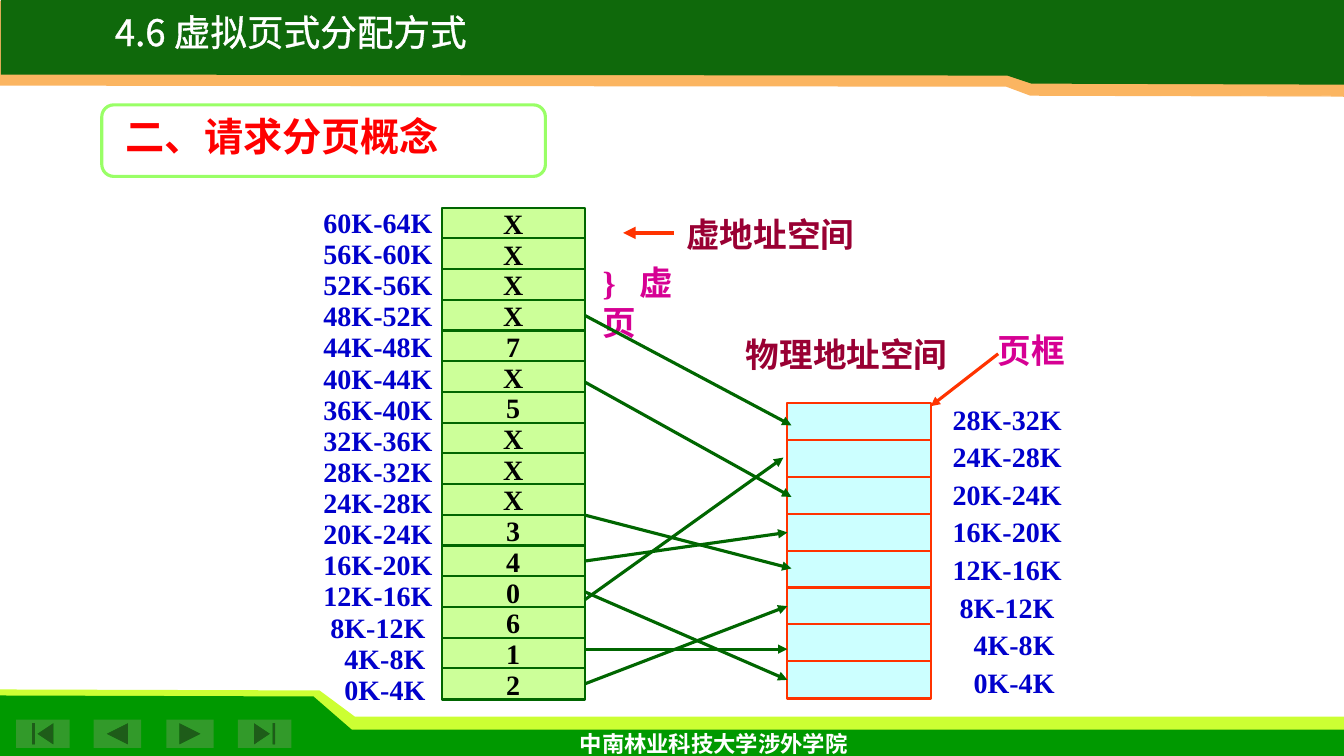
from lxml.etree import SubElement
from pptx import Presentation
from pptx.dml.color import RGBColor
from pptx.enum.shapes import MSO_CONNECTOR, MSO_SHAPE as SHAPE
from pptx.enum.text import MSO_ANCHOR as ANCHOR, PP_ALIGN as ALIGN
from pptx.oxml.ns import qn
from pptx.util import Inches, Pt

WHITE = RGBColor(0xFF, 0xFF, 0xFF)
BLACK = RGBColor(0, 0, 0)
LIME = RGBColor(0xCC, 0xFF, 0x33)
GREEN = RGBColor(0x00, 0x99, 0x00)
BUTTON_GREEN = RGBColor(0x32, 0x9A, 0x2A)
ORANGE = RGBColor(0xFB, 0xB5, 0x61)
HEADER_GREEN = RGBColor(0x0F, 0x69, 0x0B)
PAGE_GREEN = RGBColor(0xCC, 0xFF, 0x99)
DARK_GREEN = RGBColor(0x00, 0x66, 0x00)
FRAME_BLUE = RGBColor(0xCC, 0xFF, 0xFF)
RED_ORANGE = RGBColor(0xFF, 0x33, 0x00)
LABEL_BLUE = RGBColor(0x00, 0x00, 0xCC)
MAROON = RGBColor(0x99, 0x00, 0x33)
MAGENTA = RGBColor(0xD6, 0x00, 0x93)
RED = RGBColor(0xFF, 0, 0)
BORDER_GREEN = RGBColor(0x99, 0xFF, 0x66)

SERIF = "Times New Roman"
CJK = "Noto Sans CJK SC"

PAGES = ["X", "X", "X", "X", "7", "X", "5", "X", "X", "X", "3", "4", "0", "6", "1", "2"]
MAPPINGS = [
    (3.12, 7.85, 4.22), (3.79, 7.85, 4.93), (5.11, 7.85, 5.64), (5.56, 7.81, 5.27),
    (5.87, 7.81, 6.77), (6.44, 7.81, 6.44), (6.78, 7.81, 6.04), (5.95, 7.77, 4.54),
]


def write(shape, text, size=20, color=BLACK, font=SERIF, bold=True, align=ALIGN.LEFT,
          anchor=ANCHOR.TOP, wrap=False, inset=0.1, spacing=None, tab=None, outline=None):
    frame = shape.text_frame
    frame.word_wrap = wrap
    frame.vertical_anchor = anchor
    frame.margin_left = frame.margin_right = Inches(inset)
    paragraph = frame.paragraphs[0]
    paragraph.alignment = align
    if spacing:
        paragraph.line_spacing = spacing
    if tab:
        stops = SubElement(paragraph._p.get_or_add_pPr(), qn("a:tabLst"))
        SubElement(stops, qn("a:tab"), pos=str(Inches(tab)), algn="l")
    run = paragraph.add_run()
    run.text = text
    properties = run._r.get_or_add_rPr()
    if outline:
        stroke = SubElement(properties, qn("a:ln"), w=str(Pt(outline)))
        SubElement(SubElement(stroke, qn("a:solidFill")), qn("a:srgbClr"), val=str(color))
    run.font.size, run.font.bold, run.font.name = Pt(size), bold, font
    run.font.color.rgb = color
    SubElement(properties, qn("a:ea"), typeface=CJK)


def write_box(slide, x, y, w, h, text, **style):
    write(slide.shapes.add_textbox(Inches(x), Inches(y), Inches(w), Inches(h)), text, **style)


def paint(shape, fill, line=None, width=1.5, alpha=None):
    shape.shadow.inherit = False
    shape.fill.solid()
    shape.fill.fore_color.rgb = fill
    if alpha:
        tint = shape._element.spPr.find(qn("a:solidFill"))[0]
        SubElement(tint, qn("a:alpha"), val=str(alpha * 1000))
    if line is None:
        shape.line.fill.background()
    else:
        shape.line.color.rgb = line
        shape.line.width = Pt(width)


def add_block(slide, kind, x, y, w, h, fill, **look):
    block = slide.shapes.add_shape(kind, Inches(x), Inches(y), Inches(w), Inches(h))
    paint(block, fill, **look)
    return block


def add_band(slide, points, fill, **look):
    corners = [(Inches(x), Inches(y)) for x, y in points]
    outline = slide.shapes.build_freeform(*corners[0])
    outline.add_line_segments(corners[1:], close=True)
    paint(outline.convert_to_shape(), fill, **look)


def add_arrow(slide, x1, y1, x2, y2, color, width=2.25):
    arrow = slide.shapes.add_connector(
        MSO_CONNECTOR.STRAIGHT, Inches(x1), Inches(y1), Inches(x2), Inches(y2))
    arrow.line.color.rgb = color
    arrow.line.width = Pt(width)
    SubElement(arrow.line._get_or_add_ln(), qn("a:tailEnd"), type="triangle")
    SubElement(arrow._element.spPr, qn("a:effectLst"))
    return arrow


def add_header(slide, width):
    add_band(slide, [(width, 0.01), (0, 0.01), (0, 0.85), (9.98, 0.86),
                     (10.22, 0.95), (width, 0.96)], ORANGE)
    add_band(slide, [(width, 0), (0.01, 0), (0.01, 0.74), (9.99, 0.75),
                     (10.23, 0.83), (width, 0.84)], HEADER_GREEN)
    add_band(slide, [(10.05, 0.96), (13.2, 0.95), (13.19, 1.01), (10.19, 1.01)],
             WHITE, alpha=30)
    write_box(slide, 0.64, 0.13, 4.49, 0.46, "4.6 虚拟页式分配方式", size=26.1, color=WHITE,
              font=CJK, bold=False, align=ALIGN.CENTER, spacing=0.8, outline=1.5)


def add_footer(slide, width, bottom):
    add_band(slide, [(0.01, 7.4), (width, 7.4), (width, 7.11), (3.52, 7.11),
                     (3.17, 6.85), (0, 6.84)], LIME)
    add_band(slide, [(0, bottom), (width, bottom), (width, 7.24), (3.49, 7.24),
                     (3.11, 6.91), (0, 6.9)], GREEN)
    for x, w, kind in [(0.16, 0.53, SHAPE.ACTION_BUTTON_BEGINNING),
                       (0.93, 0.47, SHAPE.ACTION_BUTTON_BACK_OR_PREVIOUS),
                       (1.65, 0.47, SHAPE.ACTION_BUTTON_FORWARD_OR_NEXT),
                       (2.36, 0.53, SHAPE.ACTION_BUTTON_END)]:
        add_block(slide, kind, x, 7.14, w, 0.28, BUTTON_GREEN)
    write_box(slide, 4.86, 7.19, 4.44, 0.37, "中南林业科技大学涉外学院", size=16, color=WHITE,
              font="Lato", align=ALIGN.CENTER, wrap=True)


def add_section_title(slide, x, y, w, h):
    card = add_block(slide, SHAPE.ROUNDED_RECTANGLE, x, y, w, h, WHITE,
                     line=BORDER_GREEN, width=2.25, alpha=90)
    card.adjustments[0] = 0.167
    write_box(slide, x + 0.14, y + 0.03, w + 0.56, 0.57, "二、请求分页概念",
              size=28, color=RED, wrap=True)


def add_cells(slide, x, y, w, h, pitch, texts, fill, line):
    cells = []
    for row, text in enumerate(texts):
        cell = add_block(slide, SHAPE.RECTANGLE, x, y + row * pitch, w, h, fill, line=line)
        if text:
            write(cell, text, align=ALIGN.CENTER, anchor=ANCHOR.MIDDLE)
        cells.append(cell)
    return cells


def add_ranges(slide, x, y, pitch, count):
    for row in range(count):
        start = 4 * (count - 1 - row)
        text = f"{start}K-{start + 4}K"
        width = 1.23 if len(text) == 7 else 1.16
        write_box(slide, x, y + row * pitch, width, 0.44, text, color=LABEL_BLUE,
                  align=ALIGN.RIGHT, inset=0, wrap=True)


def find_cell(cells, side, x, y):
    for cell in cells:
        edge = cell.left + (cell.width if side == 3 else 0)
        middle = cell.top + cell.height / 2
        if max(abs(edge - Inches(x)), abs(middle - Inches(y))) < Inches(0.03):
            return cell
    return None


def add_mappings(slide, x, pages, frames):
    for from_y, to_x, to_y in MAPPINGS:
        arrow = add_arrow(slide, x, from_y, to_x, to_y, DARK_GREEN)
        page = find_cell(pages, 3, x, from_y)
        frame = find_cell(frames, 1, to_x, to_y)
        if page:
            arrow.begin_connect(page, 3)
        if frame:
            arrow.end_connect(frame, 1)


def add_callouts(slide):
    write_box(slide, 6.71, 2.07, 1.87, 0.5, "虚地址空间", size=24, color=MAROON)
    write_box(slide, 7.3, 3.26, 2.21, 0.5, "物理地址空间", size=24, color=MAROON)
    write_box(slide, 5.88, 2.55, 1.1, 0.9, "}\t虚页", size=24, color=MAGENTA, wrap=True, tab=0.36)
    write_box(slide, 9.8, 3.22, 0.87, 0.5, "页框", size=24, color=MAGENTA)
    add_arrow(slide, 6.68, 2.31, 6.18, 2.31, RED_ORANGE, width=3)
    add_arrow(slide, 9.9, 3.51, 9.23, 4.03, RED_ORANGE)


def main():
    deck = Presentation()
    deck.slide_width, deck.slide_height = Inches(13.33), Inches(7.5)
    slide = deck.slides.add_slide(deck.slide_layouts[6])
    add_footer(slide, 13.33, 7.5)
    add_header(slide, 13.33)
    pages = add_cells(slide, 4.38, 2.06, 1.42, 0.31, 4.57 / 15, PAGES, PAGE_GREEN, DARK_GREEN)
    add_ranges(slide, 3.06, 1.99, 4.63 / 15, len(PAGES))
    frames = add_cells(slide, 7.81, 4, 1.42, 0.37, 2.56 / 7, [""] * 8, FRAME_BLUE, RED_ORANGE)
    add_ranges(slide, 9.3, 3.94, 2.61 / 7, len(frames))
    add_callouts(slide)
    add_mappings(slide, 5.8, pages, frames)
    add_section_title(slide, 1.01, 1.04, 4.4, 0.71)
    deck.save("out.pptx")


if __name__ == "__main__":
    main()
